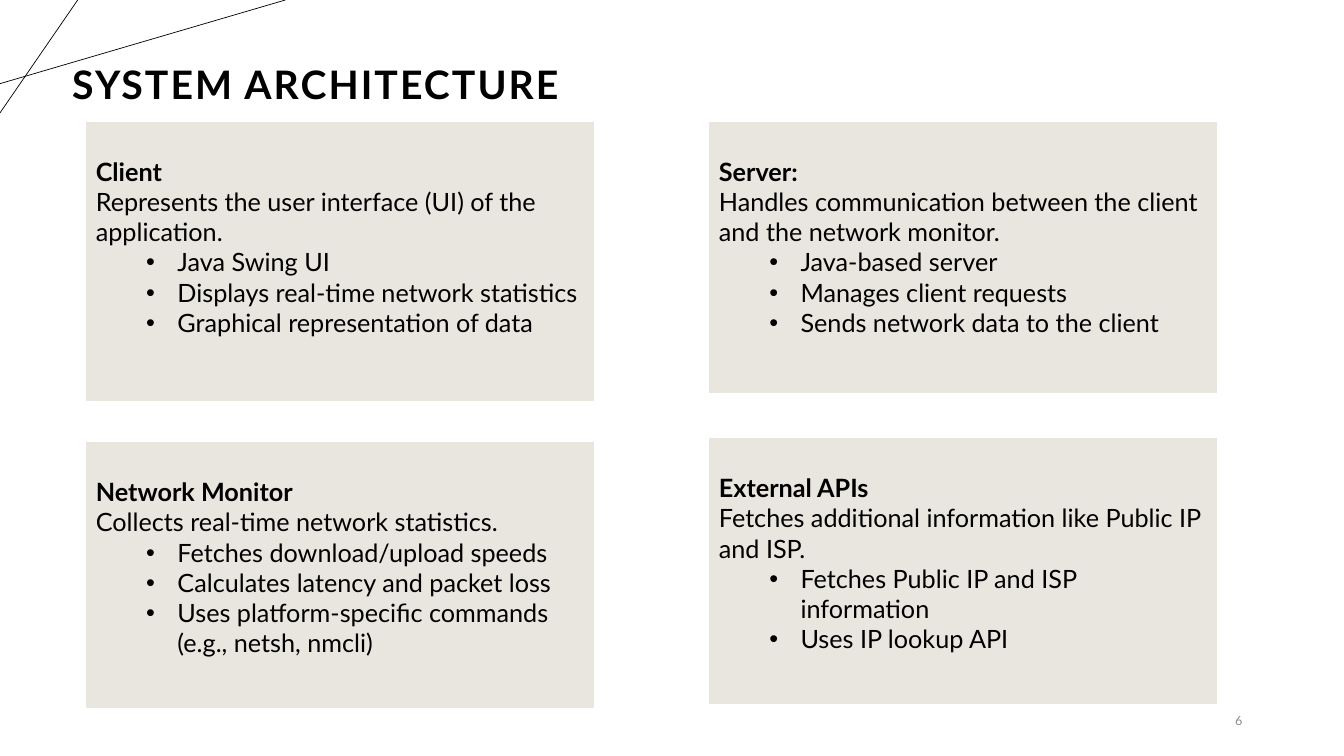
import pptx
import pptx.util
import pptx.dml.color
import pptx.enum.shapes
import pptx.enum.text
import pptx.oxml
import pptx.oxml.ns

COLORS = {"ink": "000000", "panel": "E9E6DF", "edge": "FFFFFF", "muted": "8C8C8C"}
SLIDE_WIDTH = pptx.util.Inches(13.33)
SLIDE_HEIGHT = pptx.util.Inches(7.5)
PANEL_COLUMNS = (6.38, 52.74)
PANEL_WIDTH = 37.88
BORDERS = {"lnL": 1, "lnR": 1, "lnT": 1, "lnB": 3}

TITLE_FONT = {"name": "Lato", "size": pptx.util.Pt(28), "bold": True}
NUMBER_FONT = {"name": "Lato", "size": pptx.util.Pt(9), "bold": False}
HEADING_FONT = {"name": "Lato", "size": pptx.util.Pt(18), "bold": True}
BODY_FONT = {**HEADING_FONT, "bold": False}

PANELS = [
    (0, 16, 37.33, "Client",
     "Represents the user interface (UI) of the application.",
     ["Java Swing UI", "Displays real-time network statistics",
      "Graphical representation of data"]),
    (1, 16, 36.27, "Server:",
     "Handles communication between the client and the network monitor.",
     ["Java-based server", "Manages client requests",
      "Sends network data to the client"]),
    (0, 58.4, 35.47, "Network Monitor",
     "Collects real-time network statistics.",
     ["Fetches download/upload speeds", "Calculates latency and packet loss",
      "Uses platform-specific commands (e.g., netsh, nmcli)"]),
    (1, 57.87, 35.47, "External APIs",
     "Fetches additional information like Public IP and ISP.",
     ["Fetches Public IP and ISP information", "Uses IP lookup API"]),
]


def across(percent):
    return round(SLIDE_WIDTH * percent / 100)


def down(percent):
    return round(SLIDE_HEIGHT * percent / 100)


def area(left, top, width, height):
    return across(left), down(top), across(width), down(height)


def rgb(color):
    return pptx.dml.color.RGBColor.from_string(COLORS[color])


def set_values(target, values):
    for name, value in values.items():
        setattr(target, name, value)


def write(para, text, font, color="ink"):
    span = para.add_run()
    span.text = text
    set_values(span.font, font)
    span.font.color.rgb = rgb(color)
    return span


def add_xml(parent, tag, position=None, **attributes):
    element = pptx.oxml.parse_xml(f"<a:{tag} {pptx.oxml.ns.nsdecls('a')}/>")
    for name, value in attributes.items():
        element.set(name, str(value))
    parent.insert(len(parent) if position is None else position, element)
    return element


def add_corner_line(page, start, end):
    line = page.shapes.add_connector(
        pptx.enum.shapes.MSO_CONNECTOR.STRAIGHT,
        across(start[0]), down(start[1]), across(end[0]), down(end[1]))
    line.line.color.rgb = rgb("ink")
    line.line.width = pptx.util.Pt(0.5)
    add_xml(line._element.spPr, "effectLst")


def add_label(page, place, text, font, color, frame_values, para_values):
    box = page.shapes.add_textbox(*area(*place))
    set_values(box.text_frame, {"word_wrap": True, **frame_values})
    para = box.text_frame.paragraphs[0]
    set_values(para, para_values)
    return write(para, text, font, color)


def add_borders(cell):
    properties = cell._tc.get_or_add_tcPr()
    for position, (side, points) in enumerate(BORDERS.items()):
        border = add_xml(properties, side, position, w=pptx.util.Pt(points))
        fill = add_xml(border, "solidFill")
        add_xml(fill, "srgbClr", val=COLORS["edge"])


def add_bullet(para):
    para.level = 1
    properties = para._p.get_or_add_pPr()
    properties.set("marL", str(pptx.util.Inches(0.81)))
    properties.set("indent", str(pptx.util.Inches(-0.31)))
    add_xml(properties, "buFont", typeface="Arial")
    add_xml(properties, "buChar", char="•")


def add_panel(page, column, top, height, heading, summary, points):
    place = area(PANEL_COLUMNS[column], top, PANEL_WIDTH, height)
    table = page.shapes.add_table(1, 1, *place).table
    set_values(table, {"first_row": False, "horz_banding": False})
    cell = table.cell(0, 0)
    cell.margin_top = pptx.util.Inches(0.35)
    cell.fill.solid()
    cell.fill.fore_color.rgb = rgb("panel")
    add_borders(cell)
    frame = cell.text_frame
    write(frame.paragraphs[0], heading, HEADING_FONT)
    write(frame.add_paragraph(), summary, BODY_FONT)
    for point in points:
        para = frame.add_paragraph()
        add_bullet(para)
        write(para, point, BODY_FONT)


def main():
    deck = pptx.Presentation()
    set_values(deck, {"slide_width": SLIDE_WIDTH, "slide_height": SLIDE_HEIGHT})
    page = deck.slides.add_slide(deck.slide_layouts[6])
    anchor = pptx.enum.text.MSO_ANCHOR
    align = pptx.enum.text.PP_ALIGN

    add_corner_line(page, (0, 11.07), (21.23, 0))
    add_corner_line(page, (5.78, 0), (0, 14.93))
    title = add_label(page, (3.83, 6.13, 39.31, 8.8), "SYSTEM ARCHITECTURE",
                      TITLE_FONT, "ink", {"vertical_anchor": anchor.BOTTOM},
                      {"alignment": align.CENTER, "line_spacing": 0.9})
    title.font._element.set("spc", "150")
    add_label(page, (85.07, 92.67, 8.1, 5.33), "6", NUMBER_FONT, "muted",
              {"vertical_anchor": anchor.MIDDLE}, {"alignment": align.RIGHT})
    for panel in PANELS:
        add_panel(page, *panel)
    deck.save("out.pptx")


if __name__ == "__main__":
    main()
